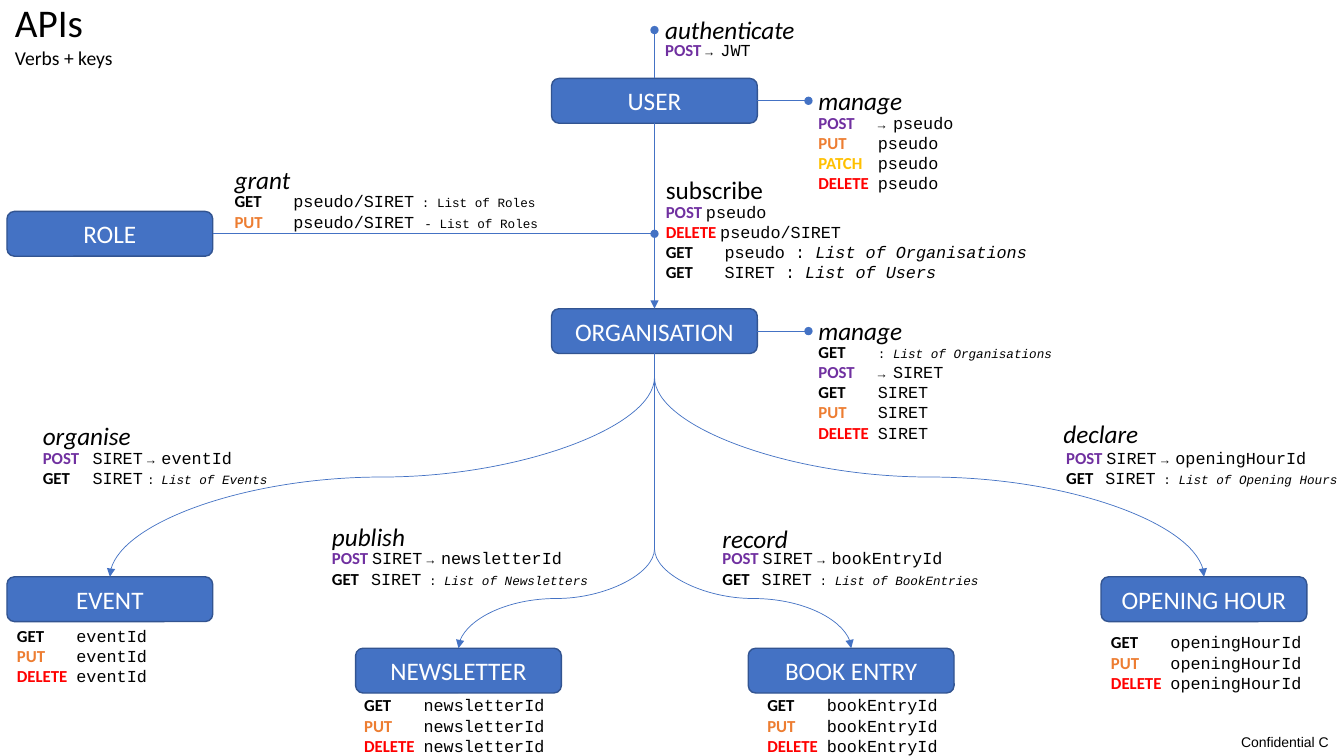
from lxml.etree import SubElement
from pptx import Presentation
from pptx.dml.color import RGBColor
from pptx.enum.shapes import MSO_CONNECTOR, MSO_SHAPE
from pptx.enum.text import MSO_ANCHOR, MSO_AUTO_SIZE, PP_ALIGN
from pptx.oxml.ns import qn
from pptx.util import Pt

BLUE, NAVY, BLACK, WHITE = "4472C4", "325491", "000000", "FFFFFF"
VERB_COLOURS = {"GET": BLACK, "POST": "7030A0", "PUT": "ED7D31",
                "PATCH": "FFC000", "DELETE": "FF0000"}
BOX_W, BOX_H = 147, 32
AXIS = 467.5  # centre line shared by USER and ORGANISATION

# Text pieces are (text, size, italic); a plain string is 12 pt upright.
ARROW = [(" ", 5), ("→", 9), (" ", 8)]
SHORT_ARROW = ("→ ", 9)


def rgb(colour):
    return RGBColor.from_string(colour)


def add_text(p, text, size=12, italic=False, bold=False, font="Courier New", colour=BLACK):
    r = p.add_run()
    r.text = text
    f = r.font
    f.size, f.name, f.bold, f.italic = Pt(size), font, bold, italic
    f.color.rgb = rgb(colour)


def text_frame(s, left, top, width, height):
    sp = s.shapes.add_textbox(Pt(left), Pt(top), Pt(width), Pt(height))
    tf = sp.text_frame
    tf.word_wrap = False
    tf.auto_size = MSO_AUTO_SIZE.SHAPE_TO_FIT_TEXT
    return tf


def title(s, left, top, width, height):
    sp = s.shapes.title
    sp.left, sp.top, sp.width, sp.height = Pt(left), Pt(top), Pt(width), Pt(height)
    tf = sp.text_frame
    tf.word_wrap = False
    tf.auto_size = MSO_AUTO_SIZE.NONE
    tf.vertical_anchor = MSO_ANCHOR.TOP
    for i, (text, size) in enumerate([("APIs", 28), ("Verbs + keys", 14)]):
        p = tf.add_paragraph() if i else tf.paragraphs[0]
        p.alignment = PP_ALIGN.LEFT
        add_text(p, text, size=size, font="Calibri")


def footer(s, left, top, width, height):
    tf = text_frame(s, left, top, width, height)
    tf.word_wrap = True
    tf.margin_left = tf.margin_top = tf.margin_bottom = 0
    tf.margin_right = Pt(11)
    tf.vertical_anchor = MSO_ANCHOR.MIDDLE
    tf.paragraphs[0].alignment = PP_ALIGN.RIGHT
    add_text(tf.paragraphs[0], "Confidential C", size=10, font="Arial")


def entity(s, name, left, top):
    sp = s.shapes.add_shape(MSO_SHAPE.ROUNDED_RECTANGLE, Pt(left), Pt(top), Pt(BOX_W), Pt(BOX_H))
    sp.shadow.inherit = False
    sp.fill.solid()
    sp.fill.fore_color.rgb = rgb(BLUE)
    sp.line.color.rgb = rgb(NAVY)
    sp.line.width = Pt(1)
    tf = sp.text_frame
    tf.word_wrap = True
    tf.vertical_anchor = MSO_ANCHOR.MIDDLE
    tf.paragraphs[0].alignment = PP_ALIGN.CENTER
    add_text(tf.paragraphs[0], name, size=18, font="Calibri", colour=WHITE)
    return sp


def verb_list(s, left, top, width, tab, rows):
    """Write one line per row: a coloured verb, then its pieces of text."""
    tf = text_frame(s, left, top, width, 7.2 + 14.6 * len(rows))
    for i, (verb, *pieces) in enumerate(rows):
        p = tf.add_paragraph() if i else tf.paragraphs[0]
        tabs = SubElement(p._p.get_or_add_pPr(), qn("a:tabLst"))
        SubElement(tabs, qn("a:tab"), pos=str(Pt(tab)), algn="l")
        add_text(p, verb, bold=True, font="Calibri", colour=VERB_COLOURS[verb.strip()])
        for piece in pieces:
            add_text(p, *([piece] if isinstance(piece, str) else piece))


def action(s, name, name_width, left, top, width, tab, rows, rise=19.5, shift=0, italic=True):
    """Place a verb list with its heading `rise` points above it."""
    tf = text_frame(s, left + shift, top - rise, name_width, 29)
    add_text(tf.paragraphs[0], name, size=18, font="Calibri", italic=italic)
    verb_list(s, left, top, width, tab, rows)


def key_verbs(s, key, left, top, width):
    verb_list(s, left, top, width, 42.5, [(verb + "\t", key) for verb in ("GET", "PUT", "DELETE")])


def created_rows(key, plural):
    return [("POST ", "SIRET", *ARROW, key),
            ("GET\t", "SIRET", (" : ", 9), (f"List of {plural}", 9, True))]


def connector(s, kind, x1, y1, x2, y2, end=None):
    cx = s.shapes.add_connector(kind, Pt(x1), Pt(y1), Pt(x2), Pt(y2))
    cx.line.color.rgb = rgb(BLUE)
    cx.line.width = Pt(0.5)
    sp_pr = cx._element.spPr
    if end:
        SubElement(sp_pr.find(qn("a:ln")), qn("a:tailEnd"), type=end)
    SubElement(sp_pr, qn("a:effectLst"))
    return cx


def line_from(s, sp, site, x, y, end=None):
    x1, y1 = {0: (AXIS, sp.top.pt), 2: (AXIS, sp.top.pt + BOX_H),
              3: (sp.left.pt + BOX_W, sp.top.pt + BOX_H / 2)}[site]
    cx = connector(s, MSO_CONNECTOR.STRAIGHT, x1, y1, x, y, end)
    cx.begin_connect(sp, site)
    return cx


def branch(s, y, sp):
    """Curve from the centre line down to the top of a box, leaving vertically."""
    x2, y2 = sp.left.pt + BOX_W / 2, sp.top.pt
    mid_x, mid_y = (AXIS + x2) / 2, (y + y2) / 2
    half_w, half_h = (y2 - y) / 2, abs(x2 - AXIS) / 2
    rightward = x2 > AXIS
    if rightward:
        half_w = -half_w
    cx = connector(s, MSO_CONNECTOR.CURVE, mid_x - half_w, mid_y - half_h,
                   mid_x + half_w, mid_y + half_h, "triangle")
    cx._element.spPr.find(qn("a:xfrm")).set("rot", str((270 if rightward else 90) * 60000))


def diagram(s):
    user = entity(s, "USER", 394, 56)
    role = entity(s, "ROLE", 5, 151)
    organisation = entity(s, "ORGANISATION", 394, 220.5)
    event = entity(s, "EVENT", 5, 412)
    newsletter = entity(s, "NEWSLETTER", 254, 463)
    book_entry = entity(s, "BOOK ENTRY", 534.5, 463)
    opening_hour = entity(s, "OPENING HOUR", 786.5, 412)

    line_from(s, user, 0, AXIS, 21.5, "oval")
    line_from(s, user, 3, 577.5, 72, "oval")
    line_from(s, user, 2, AXIS, 220.5, "triangle").end_connect(organisation, 0)
    line_from(s, role, 3, AXIS, 167, "oval")
    line_from(s, organisation, 3, 577.5, 236.5, "oval")
    line_from(s, organisation, 2, AXIS, 392)
    for y, sp in [(269.5, event), (269.5, opening_hour), (392, newsletter), (392, book_entry)]:
        branch(s, y, sp)


def actions(s):
    action(s, "authenticate", 108, 468, 25, 79, 42.5, [("POST ", SHORT_ARROW, "JWT")], rise=18)
    action(s, "manage", 75, 577.5, 77, 115, 42.5, [
        ("POST\t", SHORT_ARROW, "pseudo"), ("PUT\t", "pseudo"),
        ("PATCH\t", "pseudo"), ("DELETE\t", "pseudo")])
    action(s, "subscribe", 85, 468.5, 140.5, 276.5, 42, [
        ("POST ", "pseudo"), ("DELETE ", "pseudo/SIRET"),
        ("GET\t", "pseudo : ", ("List of Organisations", 12, True)),
        ("GET\t", "SIRET : ", ("List of Users", 12, True))], italic=False)
    action(s, "grant", 55, 160.5, 133, 233, 42, [
        ("GET\t", "pseudo/SIRET", (" : List of Roles", 9)),
        ("PUT\t", "pseudo/SIRET ", ("- List of Roles", 9))])
    action(s, "manage", 75, 577.5, 240.5, 182, 42.5, [
        ("GET\t", (": ", 9), ("List of Organisations", 9, True)),
        ("POST\t", SHORT_ARROW, "SIRET"), ("GET\t", "SIRET"),
        ("PUT\t", "SIRET"), ("DELETE\t", "SIRET")], rise=18.5)
    action(s, "organise", 78, 23.5, 316, 176, 35.5, [
        ("POST\t", "SIRET", *ARROW, "eventId"),
        ("GET\t", "SIRET", (" ", 5), (":", 9), (" ", 8), ("List of Events", 9, True))])
    action(s, "declare", 69, 754.5, 316, 209.5, 28,
           created_rows("openingHourId", "Opening Hours"), rise=21, shift=-2)
    action(s, "publish", 68, 230, 388, 199, 28, created_rows("newsletterId", "Newsletters"))
    action(s, "record", 63, 509, 388, 199, 28, created_rows("bookEntryId", "BookEntries"), rise=18)

    key_verbs(s, "eventId", 5, 443.5, 109)
    key_verbs(s, "newsletterId", 253, 493, 145)
    key_verbs(s, "bookEntryId", 541, 493, 137.5)
    key_verbs(s, "openingHourId", 786.5, 448, 152.5)


def main():
    prs = Presentation()
    prs.slide_width, prs.slide_height = Pt(960), Pt(540)
    s = prs.slides.add_slide(prs.slide_layouts[5])
    title(s, 3.5, -4.5, 85, 58)
    diagram(s)
    actions(s)
    footer(s, 875, 520.5, 85, 19.5)
    prs.save("out.pptx")


if __name__ == "__main__":
    main()
